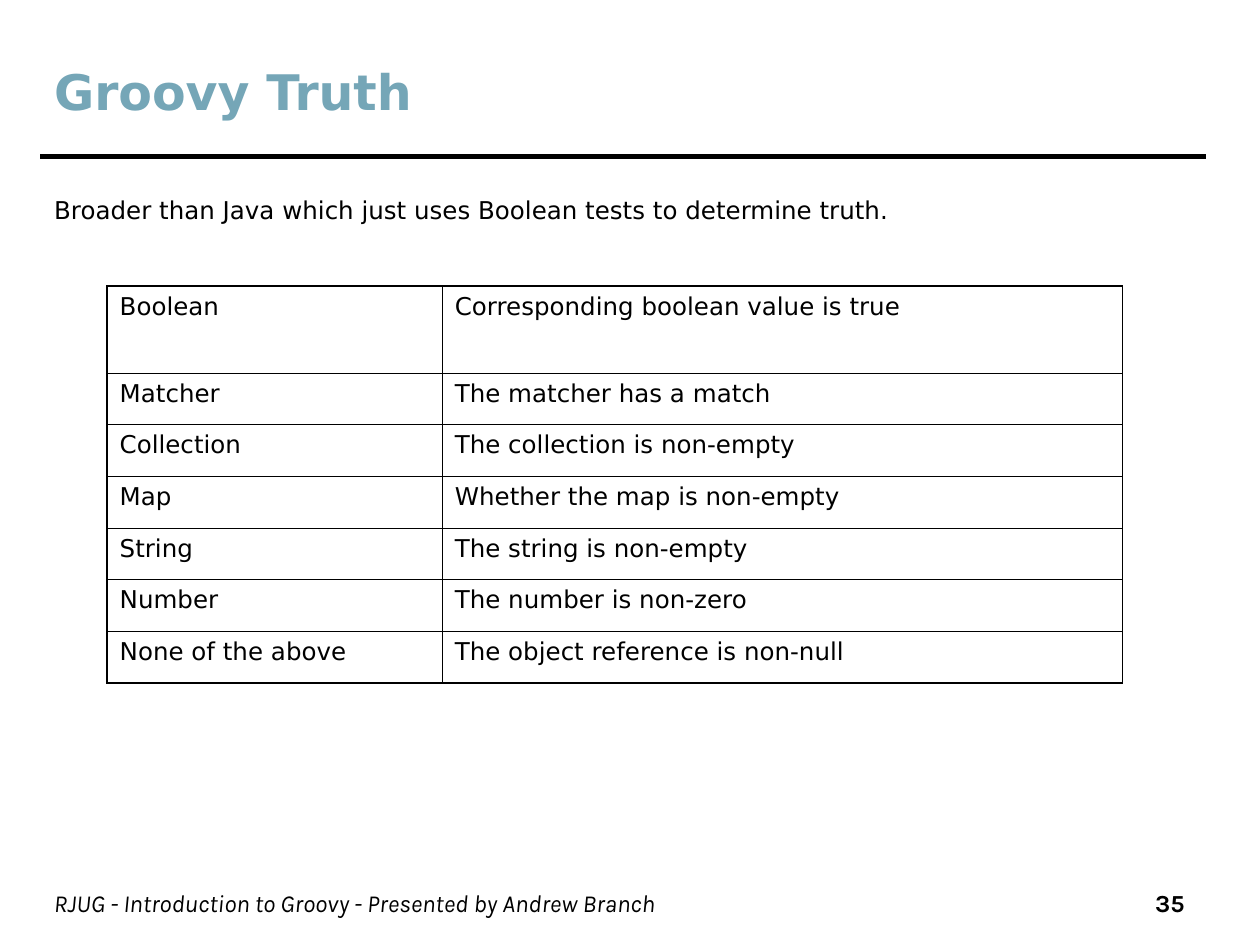
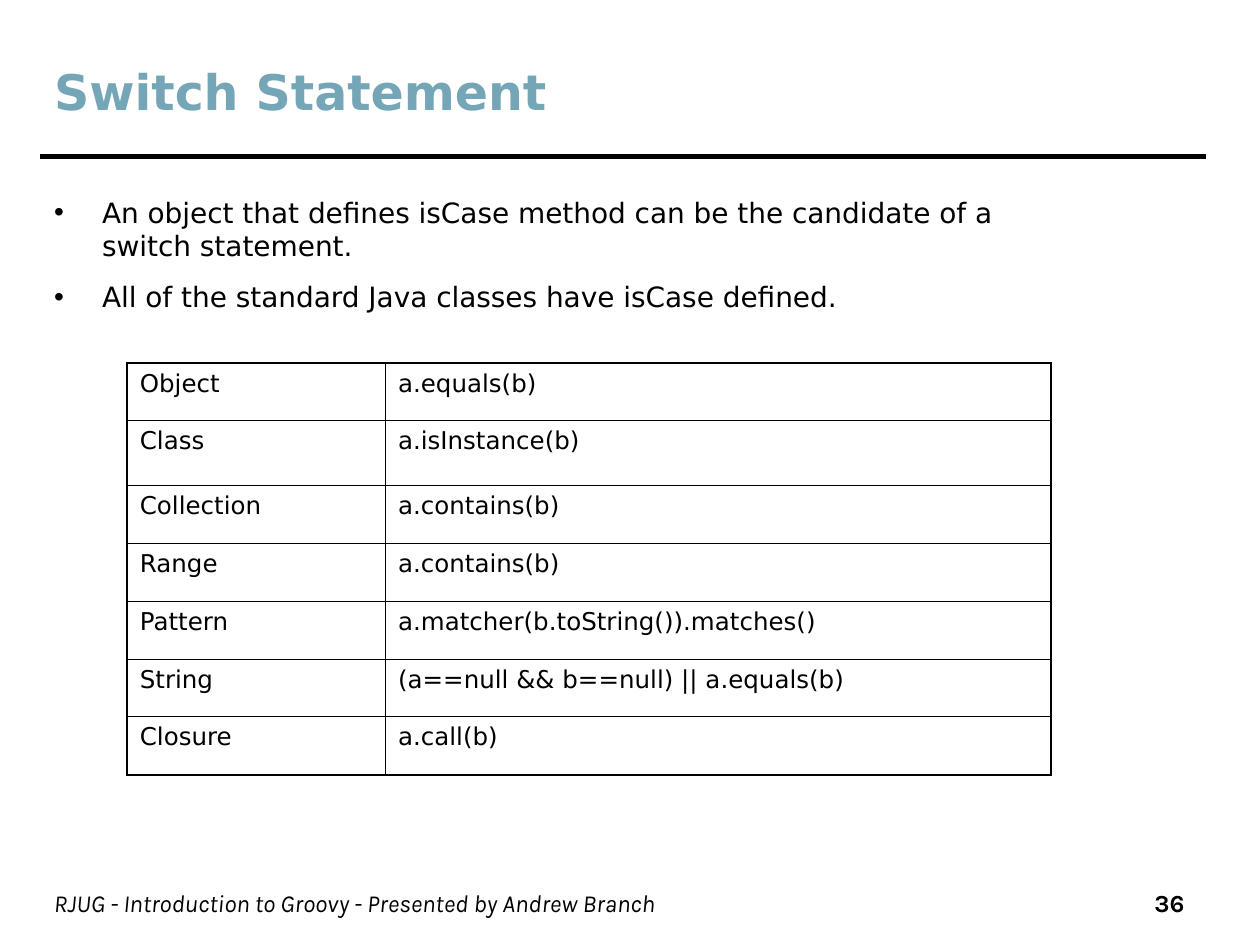
from dataclasses import dataclass

from lxml.etree import SubElement
from pptx import Presentation
from pptx.dml.color import RGBColor
from pptx.enum.shapes import MSO_CONNECTOR
from pptx.enum.text import MSO_ANCHOR as Anchor, MSO_AUTO_SIZE as AutoSize, PP_ALIGN as Align
from pptx.oxml.ns import qn
from pptx.util import Inches, Pt


@dataclass(frozen=True)
class Theme:
    ink: str = "000000"
    accent: str = "75A6B7"
    paper: str = "FFFFFF"
    text_font: str = "DejaVu Sans"
    footer_font: str = "Karla"
    title_size: float = 28
    bullet_size: float = 16
    text_size: float = 14
    rule_width: float = 3
    outer_border: float = 1.08
    inner_border: float = 0.45


THEME = Theme()
LEFT = 0.33
FOOTER = "RJUG - Introduction to Groovy - Presented by Andrew Branch"

TRUTH_ROWS = [
    ("Boolean", "Corresponding boolean value is true"),
    ("Matcher", "The matcher has a match"),
    ("Collection", "The collection is non-empty"),
    ("Map", "Whether the map is non-empty"),
    ("String", "The string is non-empty"),
    ("Number", "The number is non-zero"),
    ("None of the above", "The object reference is non-null"),
]

SWITCH_ROWS = [
    ("Object", "a.equals(b)"),
    ("Class", "a.isInstance(b)"),
    ("Collection", "a.contains(b)"),
    ("Range", "a.contains(b)"),
    ("Pattern", "a.matcher(b.toString()).matches()"),
    ("String", "(a==null && b==null) || a.equals(b)"),
    ("Closure", "a.call(b)"),
]


# Text helpers
def add_run(paragraph, text, size=THEME.text_size, font=THEME.text_font,
            color=THEME.ink, bold=False, italic=False):
    run = paragraph.add_run()
    run.text = text
    run.font.size = Pt(size)
    run.font.name = font
    run.font.bold = bold
    run.font.italic = italic
    run.font.color.rgb = RGBColor.from_string(color)


def place(shape, left, top, width, height):
    shape.left, shape.top = Inches(left), Inches(top)
    shape.width, shape.height = Inches(width), Inches(height)


def set_bullet(paragraph, bullet):
    properties = paragraph._p.get_or_add_pPr()
    properties.set("marL", str(Inches(0.38)))
    properties.set("indent", str(-Inches(0.38)))
    if bullet:
        color = SubElement(properties, qn("a:buClr"))
        SubElement(color, qn("a:srgbClr"), val=THEME.ink)
        SubElement(properties, qn("a:buChar"), char=bullet)
    else:
        SubElement(properties, qn("a:buNone"))


# Parts every slide shares
def add_title(slide, text):
    title = slide.shapes.title
    place(title, LEFT, 0.33, 7.42, 0.78)
    frame = title.text_frame
    frame.auto_size = AutoSize.NONE
    frame.vertical_anchor = Anchor.MIDDLE
    frame.paragraphs[0].alignment = Align.LEFT
    add_run(frame.paragraphs[0], text, THEME.title_size, color=THEME.accent, bold=True)


def add_title_rule(slide):
    rule = slide.shapes.add_connector(
        MSO_CONNECTOR.STRAIGHT, Inches(0.32), Inches(1.24), Inches(9.57), Inches(1.24))
    rule.line.width = Pt(THEME.rule_width)
    rule.line.color.rgb = RGBColor.from_string(THEME.ink)
    SubElement(rule._element.spPr, qn("a:effectLst"))


def add_footer_text(slide, text, left, width, alignment, **style):
    box = slide.shapes.add_textbox(Inches(left), Inches(7), Inches(width), Inches(0.35))
    box.text_frame.word_wrap = True
    paragraph = box.text_frame.paragraphs[0]
    paragraph.alignment = alignment
    add_run(paragraph, text, font=THEME.footer_font, **style)


def add_base_slide(presentation, title, number):
    slide = presentation.slides.add_slide(presentation.slide_layouts[1])
    slide.background.fill.solid()
    slide.background.fill.fore_color.rgb = RGBColor.from_string(THEME.paper)
    add_title_rule(slide)
    add_footer_text(slide, FOOTER, LEFT, 7.85, Align.LEFT, italic=True)
    add_footer_text(slide, str(number), 8.39, 1.11, Align.RIGHT, bold=True)
    add_title(slide, title)
    return slide


# Body list
def fill_body(slide, lines, width, height, size, space_before, bullet=None):
    body = slide.placeholders[1]
    place(body, LEFT, 1.5, width, height)
    frame = body.text_frame
    frame.auto_size = AutoSize.NONE
    for index, line in enumerate(lines):
        paragraph = frame.add_paragraph() if index else frame.paragraphs[0]
        paragraph.space_before = Pt(space_before)
        set_bullet(paragraph, bullet)
        add_run(paragraph, line, size)


# Table
def set_borders(cell, outer_sides):
    properties = cell._tc.get_or_add_tcPr()
    for side in "LRTB":
        width = THEME.outer_border if side in outer_sides else THEME.inner_border
        line = SubElement(properties, qn(f"a:ln{side}"), w=str(Pt(width)))
        fill = SubElement(line, qn("a:solidFill"))
        SubElement(fill, qn("a:srgbClr"), val=THEME.ink)


def add_definition_table(slide, rows, left, top, column_widths, row_heights):
    frame = slide.shapes.add_table(
        len(rows), len(column_widths), Inches(left), Inches(top),
        Inches(sum(column_widths)), Inches(sum(row_heights)))
    table = frame.table
    table.first_row = table.horz_banding = False
    for column, width in zip(table.columns, column_widths):
        column.width = Inches(width)
    for row, height in zip(table.rows, row_heights):
        row.height = Inches(height)

    last_row, last_column = len(rows) - 1, len(column_widths) - 1
    for row_index, row in enumerate(rows):
        for column_index, text in enumerate(row):
            cell = table.cell(row_index, column_index)
            at_edge = {"L": column_index == 0, "R": column_index == last_column,
                       "T": row_index == 0, "B": row_index == last_row}
            set_borders(cell, [side for side, outer in at_edge.items() if outer])
            cell.fill.background()
            paragraph = cell.text_frame.paragraphs[0]
            paragraph.space_before = Pt(8.8)
            add_run(paragraph, text)


def main():
    presentation = Presentation()
    presentation.slide_width, presentation.slide_height = Inches(10), Inches(7.5)

    # Groovy truth
    slide = add_base_slide(presentation, "Groovy Truth", 35)
    fill_body(slide, ["Broader than Java which just uses Boolean tests to determine truth."],
              8.7, 0.55, THEME.text_size, 8.8)
    add_definition_table(slide, TRUTH_ROWS, 0.85, 2.27, [2.66, 5.4], [0.69] + [0.41] * 6)

    # Switch statement
    slide = add_base_slide(presentation, "Switch Statement", 36)
    fill_body(slide, [
        "An object that defines isCase method can be the candidate of a switch statement.",
        "All of the standard Java classes have isCase defined.",
    ], 7.97, 1.64, THEME.bullet_size, 10, bullet="•")
    add_definition_table(slide, SWITCH_ROWS, 1.01, 2.88, [2.05, 5.28],
                         [0.46, 0.51] + [0.46] * 5)

    presentation.save("out.pptx")


if __name__ == "__main__":
    main()
